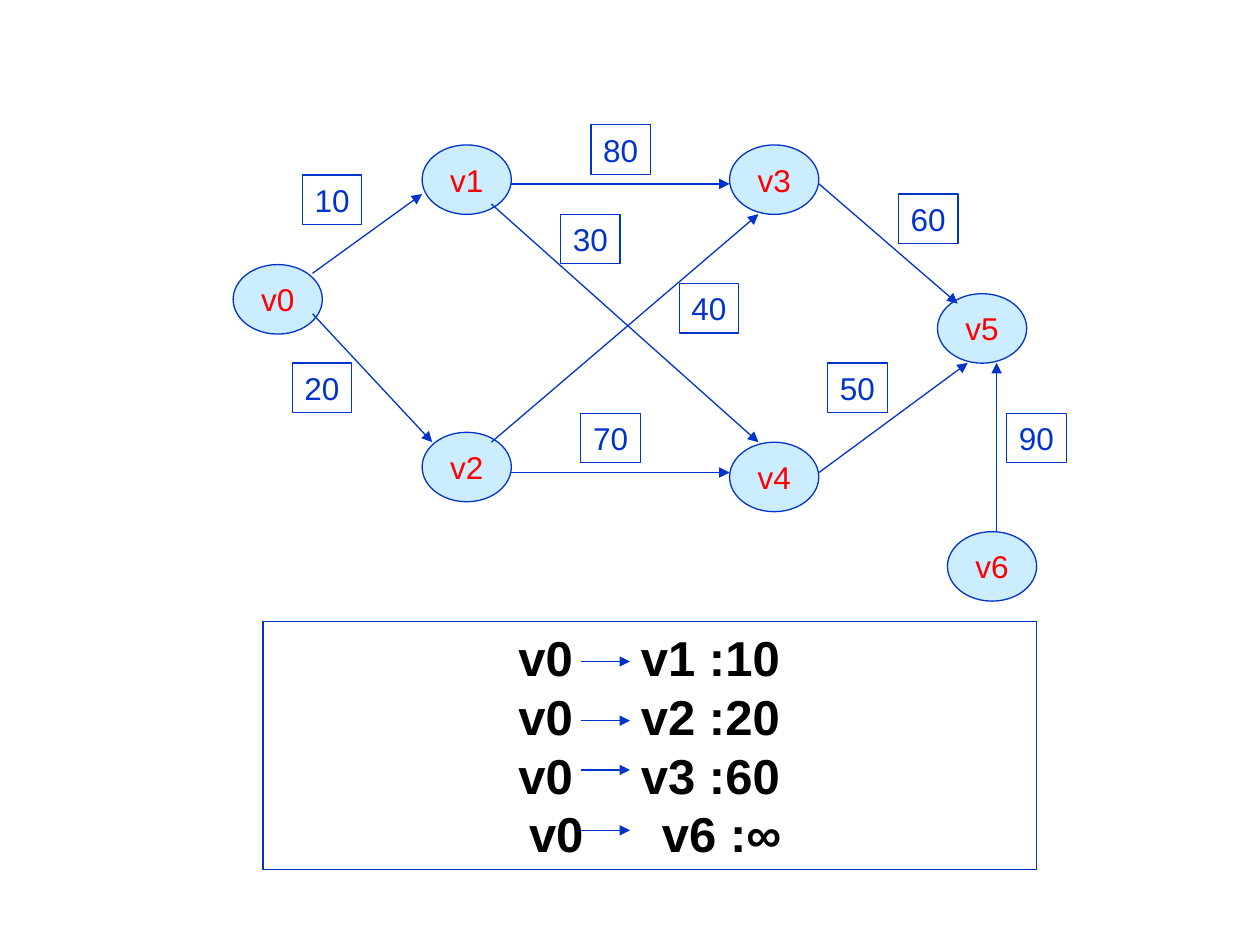
from dataclasses import dataclass

from lxml.etree import SubElement
from pptx import Presentation
from pptx.dml.color import RGBColor as Color
from pptx.enum.shapes import MSO_CONNECTOR as Connector, MSO_SHAPE as Shape
from pptx.enum.text import MSO_ANCHOR as Anchor, PP_ALIGN as Align
from pptx.oxml.ns import qn
from pptx.util import Pt


@dataclass(frozen=True)
class Theme:
    """Colours, font and sizes of the slide."""
    font: str = "Arial"
    ink: Color = Color(0x00, 0x33, 0xCC)
    node_fill: Color = Color(0xCC, 0xEC, 0xFF)
    node_text: Color = Color(0xFF, 0x00, 0x00)
    paper: Color = Color(0xFF, 0xFF, 0xFF)
    result_text: Color = Color(0x00, 0x00, 0x00)
    graph_size: int = 18
    result_size: int = 28
    line: float = 0.75


THEME = Theme()
NODE_SIZE = (51, 39.7)
WEIGHT_SIZE = (34, 28.3)
RESULT_BOX = (150.3, 355, 442.2, 141.7)
RESULT_INSET = 146
RESULT_TAB = 70
RESULT_PITCH = 33.5

NODES = {
    "v0": (133.2, 151.2), "v1": (241.2, 82.8), "v2": (241.2, 247),
    "v3": (416.9, 82.8), "v4": (416.9, 252.7), "v5": (535.7, 167.8),
    "v6": (541.4, 303.8),
}
EDGES = [
    (178.6, 156.2, 241.2, 110.9), (178.6, 179.3, 247, 252.7),
    (292.3, 105.1, 416.9, 105.1), (292.3, 270, 416.9, 270),
    (280.8, 252.7, 433.4, 122.4), (280.8, 116.6, 433.4, 252.7),
    (468, 105.1, 547.2, 173.5), (468, 270, 553, 207.4),
    (569.5, 303.8, 569.5, 207.4),
]
WEIGHTS = {
    "10": (172.8, 100), "20": (167, 207.4), "80": (337.7, 71.3),
    "30": (320.4, 122.4), "40": (388.1, 162), "70": (331.9, 236.2),
    "60": (513.4, 110.9), "50": (473, 207.4), "90": (575.3, 236.2),
}
RESULTS = [("v0", "v1 :10", 0), ("v0", "v2 :20", 0),
           ("v0", "v3 :60", 0), ("v0", "v6 :∞", 6)]
RESULT_ARROWS = [378, 411.8, 440, 474.5]


def apply(target, values):
    """Set every attribute in values on target."""
    for name, value in values.items():
        setattr(target, name, value)


def add_box(shapes, kind, bounds, fill):
    """Add an outlined shape and return it."""
    box = shapes.add_shape(kind, *map(Pt, bounds))
    box.shadow.inherit = False
    box.fill.solid()
    box.fill.fore_color.rgb = fill
    box.line.color.rgb = THEME.ink
    box.line.width = Pt(THEME.line)
    box.text_frame.vertical_anchor = Anchor.MIDDLE
    return box


def add_span(para, text, size, color, bold=False):
    """Add one formatted run to a paragraph."""
    span = para.add_run()
    span.text = text
    apply(span.font, {"name": THEME.font, "size": Pt(size), "bold": bold})
    span.font.color.rgb = color


def add_labels(shapes, kind, places, size, fill, color):
    """Add equal shapes with centred captions."""
    for text, place in places.items():
        box = add_box(shapes, kind, (*place, *size), fill)
        box.text_frame.word_wrap = False
        para = box.text_frame.paragraphs[0]
        para.alignment = Align.CENTER
        add_span(para, text, THEME.graph_size, color)


def add_arrow(shapes, ends):
    """Add a straight line with a triangle at its end."""
    arrow = shapes.add_connector(Connector.STRAIGHT, *map(Pt, ends))
    arrow.line.color.rgb = THEME.ink
    arrow.line.width = Pt(THEME.line)
    SubElement(arrow.line._get_or_add_ln(), qn("a:tailEnd"), type="triangle")
    SubElement(arrow._element.spPr, qn("a:effectLst"))


def add_results(shapes):
    """Add the framed list of distances from v0 and its arrows."""
    box = add_box(shapes, Shape.RECTANGLE, RESULT_BOX, THEME.paper)
    frame = box.text_frame
    apply(frame, {"word_wrap": True, "margin_left": Pt(RESULT_INSET)})
    for index, (start, finish, indent) in enumerate(RESULTS):
        para = frame.add_paragraph() if index else frame.paragraphs[0]
        apply(para, {"alignment": Align.LEFT, "line_spacing": Pt(RESULT_PITCH)})
        props = para._p.get_or_add_pPr()
        props.set("marL", str(Pt(indent)))
        stops = SubElement(props, qn("a:tabLst"))
        SubElement(stops, qn("a:tab"), pos=str(Pt(RESULT_TAB + indent)), algn="l")
        add_span(para, f"{start}\t{finish}", THEME.result_size, THEME.result_text, True)
    for top in RESULT_ARROWS:
        add_arrow(shapes, (331.9, top, 360, top))


def main():
    """Build the weighted graph slide and save it."""
    deck = Presentation()
    apply(deck, {"slide_width": Pt(720), "slide_height": Pt(540)})
    page = deck.slides.add_slide(deck.slide_layouts[6])
    graph = page.shapes.add_group_shape().shapes
    add_labels(graph, Shape.OVAL, NODES, NODE_SIZE, THEME.node_fill, THEME.node_text)
    for ends in EDGES:
        add_arrow(graph, ends)
    add_labels(graph, Shape.RECTANGLE, WEIGHTS, WEIGHT_SIZE, THEME.paper, THEME.ink)
    add_results(page.shapes)
    deck.save("out.pptx")


if __name__ == "__main__":
    main()
